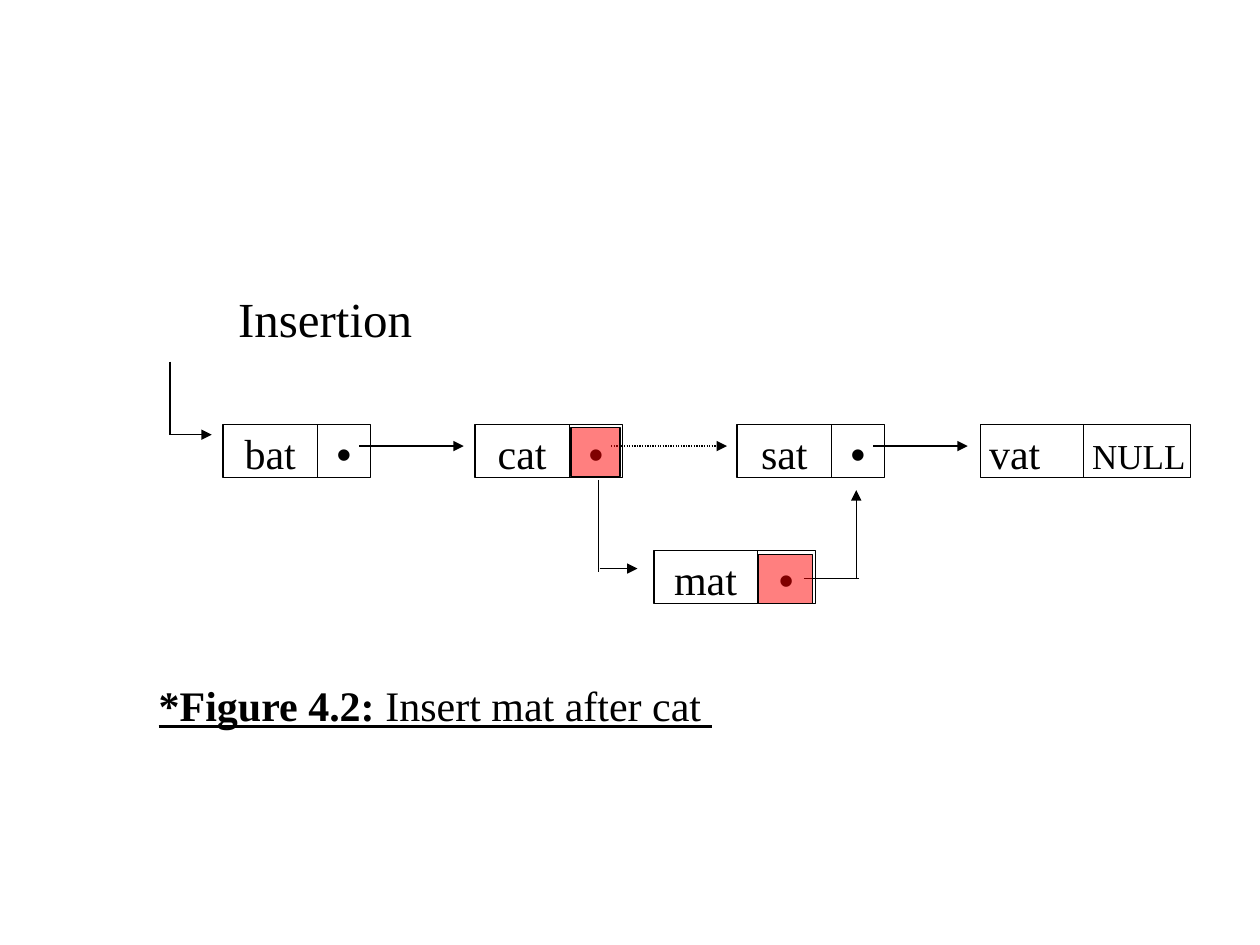
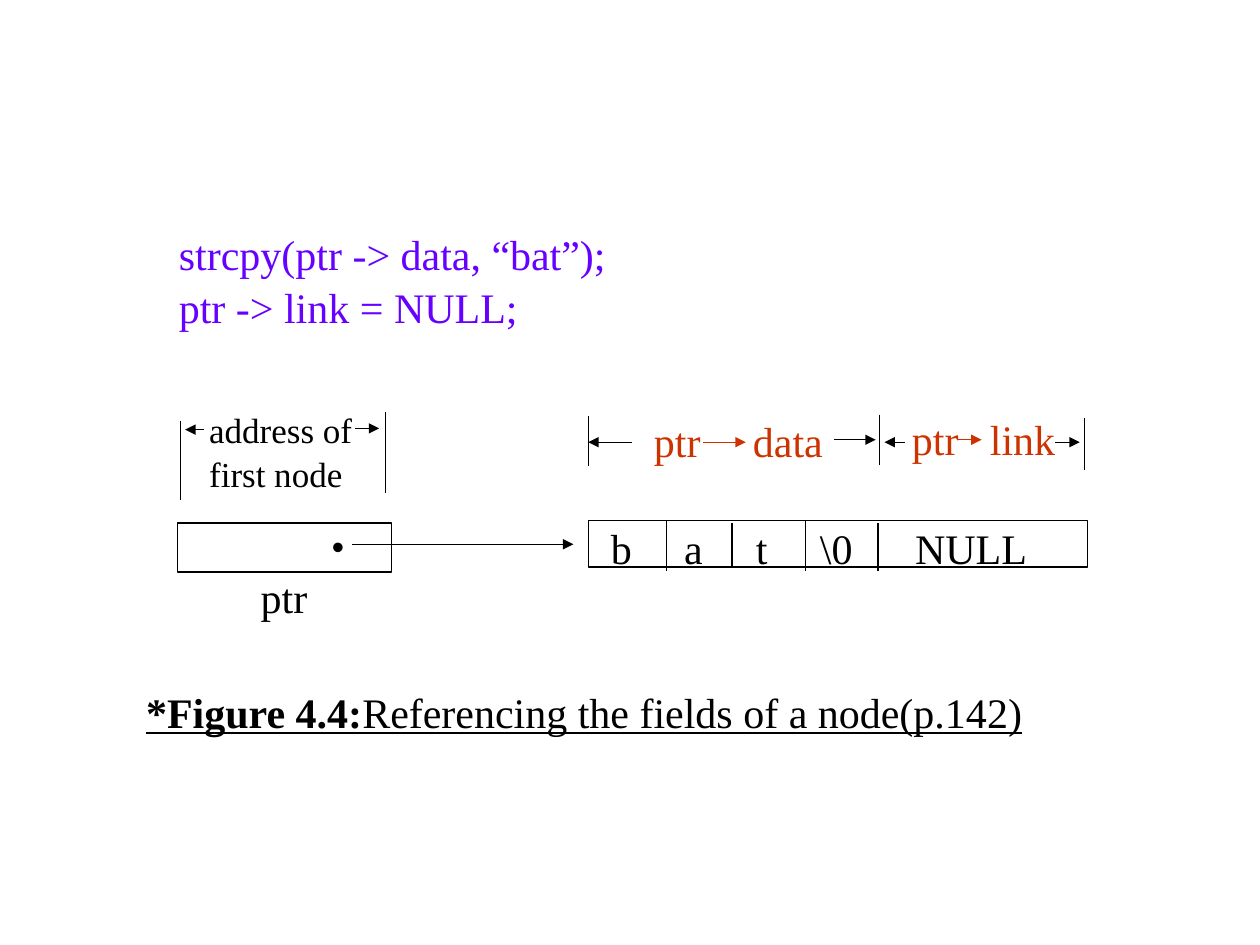
from lxml.etree import SubElement
from pptx import Presentation
from pptx.dml.color import RGBColor
from pptx.enum.dml import MSO_LINE
from pptx.enum.shapes import MSO_CONNECTOR, MSO_SHAPE
from pptx.enum.text import PP_ALIGN
from pptx.oxml.ns import qn
from pptx.util import Pt

BLACK = RGBColor(0x00, 0x00, 0x00)
RED = RGBColor(0xFF, 0x00, 0x00)
RUST = RGBColor(0xCC, 0x33, 0x00)
VIOLET = RGBColor(0x66, 0x00, 0xFF)
SERIF = "Times New Roman"
SANS = "Arial"
LINE_WIDTH = 0.75
NODE_HEIGHT = 30.2
NODE_TOP = 242.6
INSERTED_TOP = 314.6


def add_run(paragraph, text, size=24, font=SERIF, color=BLACK, bold=False, underline=False):
    """Add one formatted run to a paragraph."""
    run = paragraph.add_run()
    run.text = text
    run.font.size = Pt(size)
    run.font.name = font
    run.font.color.rgb = color
    run.font.bold = bold
    run.font.underline = underline


def add_text(slide, text, left, top, width, align=PP_ALIGN.LEFT, size=24, **style):
    """Add a text box without margins, one paragraph for each line of text."""
    lines = text.split("\n")
    height = len(lines) * size * 1.2
    box = slide.shapes.add_textbox(Pt(left), Pt(top), Pt(width), Pt(height))
    frame = box.text_frame
    frame.word_wrap = True
    frame.margin_left = frame.margin_right = frame.margin_top = frame.margin_bottom = 0
    for index, line in enumerate(lines):
        paragraph = frame.add_paragraph() if index else frame.paragraphs[0]
        paragraph.alignment = align
        paragraph.line_spacing = 1.04
        if line:
            add_run(paragraph, line, size=size, **style)
    return frame


def add_caption(slide, number, title, left, top):
    """Add an underlined figure caption with a bold number."""
    paragraph = add_text(slide, "", left, top, 520).paragraphs[0]
    add_run(paragraph, number, bold=True, underline=True)
    add_run(paragraph, title, underline=True)


def add_box(slide, left, top, width, height):
    """Add an unfilled rectangle with a thin black outline."""
    shape = slide.shapes.add_shape(MSO_SHAPE.RECTANGLE, Pt(left), Pt(top), Pt(width), Pt(height))
    shape.shadow.inherit = False
    shape.fill.background()
    shape.line.color.rgb = BLACK
    shape.line.width = Pt(LINE_WIDTH)
    return shape


def add_highlight(slide, left, top, width, height):
    """Add a half-transparent red rectangle."""
    shape = add_box(slide, left, top, width, height)
    shape.fill.solid()
    shape.fill.fore_color.rgb = RED
    color = shape.fill._xPr.find(qn("a:solidFill")).find(qn("a:srgbClr"))
    SubElement(color, qn("a:alpha"), val="50000")


def add_line(slide, start, end, color=BLACK, arrow=False, dash=None):
    """Add a straight line, with an arrowhead at its end if asked."""
    connector = slide.shapes.add_connector(
        MSO_CONNECTOR.STRAIGHT, *(Pt(value) for value in (*start, *end)))
    connector.line.color.rgb = color
    connector.line.width = Pt(LINE_WIDTH)
    if dash:
        connector.line.dash_style = dash
    properties = connector._element.spPr
    if arrow:
        SubElement(properties.find(qn("a:ln")), qn("a:tailEnd"), type="triangle")
    SubElement(properties, qn("a:effectLst"))


def add_vertical(slide, x, top, bottom):
    """Add a vertical line."""
    add_line(slide, (x, top), (x, bottom))


def add_arrow(slide, start, end, y, **style):
    """Add a horizontal arrow."""
    add_line(slide, (start, y), (end, y), arrow=True, **style)


def add_node(slide, word, left, top, width=84.2, data_width=54):
    """Add a list node with a data field and a link dot."""
    divider = left + data_width
    add_box(slide, left, top, width, NODE_HEIGHT)
    add_vertical(slide, divider, top, top + NODE_HEIGHT)
    add_text(slide, word, left, top + 0.8, data_width, PP_ALIGN.CENTER)
    add_text(slide, "•", divider, top + 0.8, width - data_width, PP_ALIGN.CENTER, font=SANS)


def add_last_node(slide, word, left, top, width=120.2, data_width=59):
    """Add the node that ends the list with NULL."""
    divider = left + data_width
    add_box(slide, left, top, width, NODE_HEIGHT)
    add_vertical(slide, divider, top, top + NODE_HEIGHT)
    add_text(slide, word, left + 5, top + 0.8, data_width - 5)
    add_text(slide, "NULL", divider, top + 4.5, width - data_width + 2, PP_ALIGN.CENTER, size=20)


def build_insertion(slide):
    """Draw the insertion of a node into a linked list."""
    add_text(slide, "Insertion", 136.1, 163.4, 110, size=28)
    for word, left in (("bat", 127.4), ("cat", 271.4), ("sat", 421.2)):
        add_node(slide, word, left, NODE_TOP)
    add_last_node(slide, "vat", 560.2, NODE_TOP)
    add_node(slide, "mat", 373.7, INSERTED_TOP, 92.2, 59)

    add_vertical(slide, 97.2, 206.6, 248.4)
    add_arrow(slide, 97.2, 121, 248.4)
    add_arrow(slide, 205.2, 265, 254.9)
    add_arrow(slide, 349.2, 415.4, 254.9, dash=MSO_LINE.ROUND_DOT)
    add_arrow(slide, 499, 553, 254.9)

    add_vertical(slide, 342, 274.3, 326.9)
    add_arrow(slide, 342.7, 364.3, 324.9)
    add_line(slide, (459.4, 330.5), (491, 330.5))
    add_line(slide, (489.3, 330.5), (489.3, 280.1), arrow=True)
    add_highlight(slide, 326.2, 244.1, 28.1, 28.1)
    add_highlight(slide, 433.4, 316.8, 31, 28.1)
    add_caption(slide, "*Figure 4.2: ", "Insert mat after cat ", 90.7, 387.4)


def build_fields(slide):
    """Draw a pointer and the fields of the node it refers to."""
    add_text(slide, "strcpy(ptr -> data, “bat”);\nptr -> link = NULL;", 102.2, 129.6, 260, color=VIOLET)

    add_box(slide, 101.5, 298.8, 122.4, 28.1)
    add_text(slide, "•", 189.6, 298.8, 12, size=20, font=SANS)
    add_arrow(slide, 201.3, 327.6, 311)
    add_text(slide, "ptr", 149, 325.4, 40)
    add_text(slide, "address of\nfirst node", 119.5, 232.6, 112, size=20)

    add_box(slide, 336.2, 297.4, 285.1, 26.6)
    for x, top, bottom in ((380.9, 297.4, 326.2), (418.3, 298.8, 324.7),
                           (460.1, 297.4, 326.2), (501.8, 298.8, 326.2)):
        add_vertical(slide, x, top, bottom)
    for field, left in (("b", 349.1), ("a", 390.9), ("t", 432), ("\\0", 468.6), ("NULL", 522.9)):
        add_text(slide, field, left, 297.4, 80 if field == "NULL" else 25)

    for x, top, bottom in ((103, 240.5, 285.8), (220.3, 235.4, 281.5), (336.2, 237.6, 266.4),
                           (502.6, 236.9, 265.7), (619.9, 239, 268.6)):
        add_vertical(slide, x, top, bottom)
    for start, end, y in ((116.6, 105.8, 245.5), (203, 216.7, 244.8), (361.4, 336.2, 252.7),
                          (476.6, 500.4, 251.3), (517, 505.4, 252.7), (602.6, 617, 252.7)):
        add_arrow(slide, start, end, y)
    for word, left, top in (("ptr", 373.7, 236.2), ("data", 430.3, 236.2),
                            ("ptr", 521.1, 235.4), ("link", 565.7, 235.4)):
        add_text(slide, word, left, top, 50, color=RUST)
    add_arrow(slide, 401.8, 426.2, 252.7, color=RUST)
    add_arrow(slide, 547.2, 560.9, 251.3, color=RUST)
    add_caption(slide, "*Figure 4.4:", "Referencing the fields of a node(p.142)", 83.5, 391)


def main():
    """Build and save the two slides."""
    presentation = Presentation()
    presentation.slide_width = Pt(720)
    presentation.slide_height = Pt(540)
    for build in (build_insertion, build_fields):
        build(presentation.slides.add_slide(presentation.slide_layouts[6]))
    presentation.save("out.pptx")


if __name__ == "__main__":
    main()
